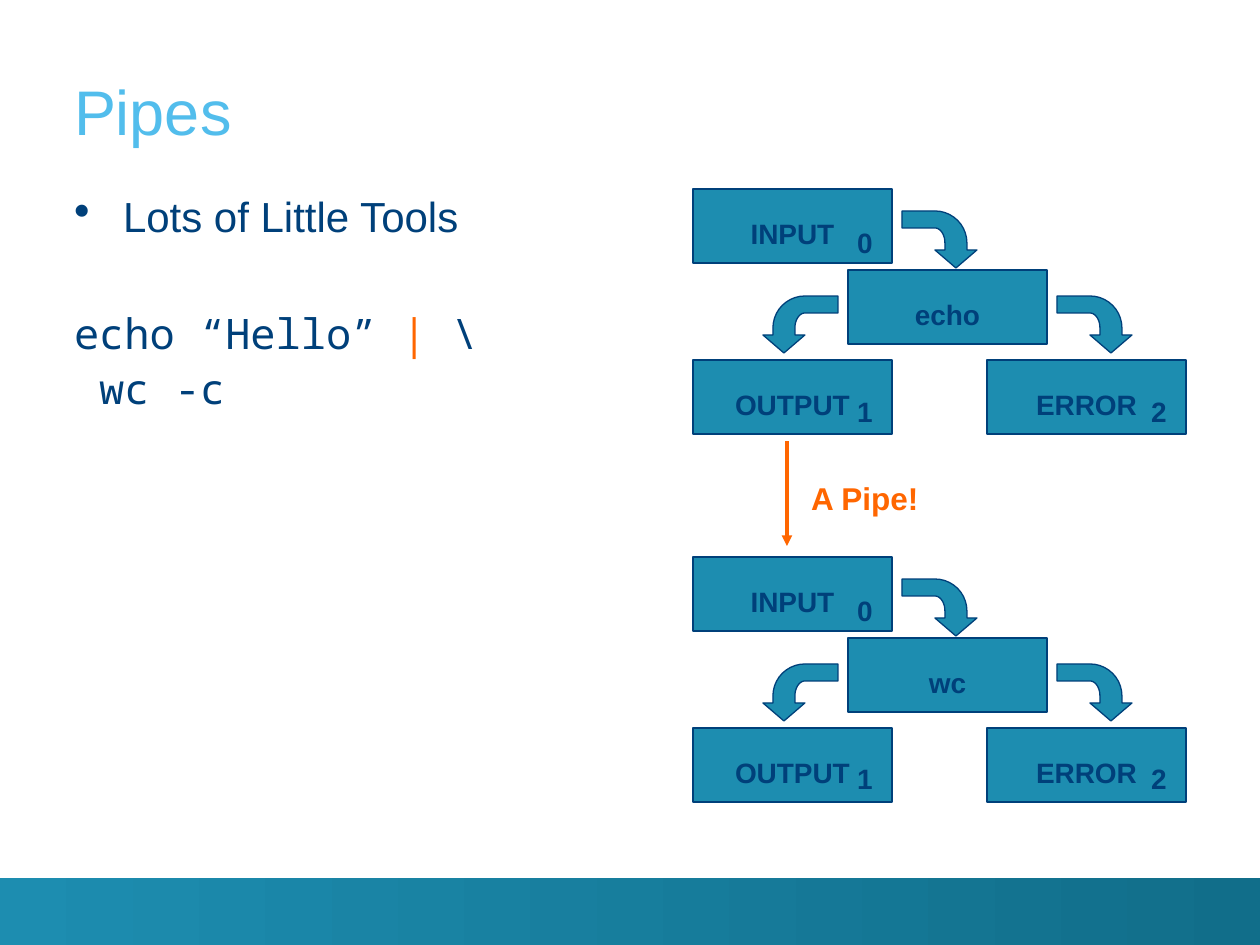
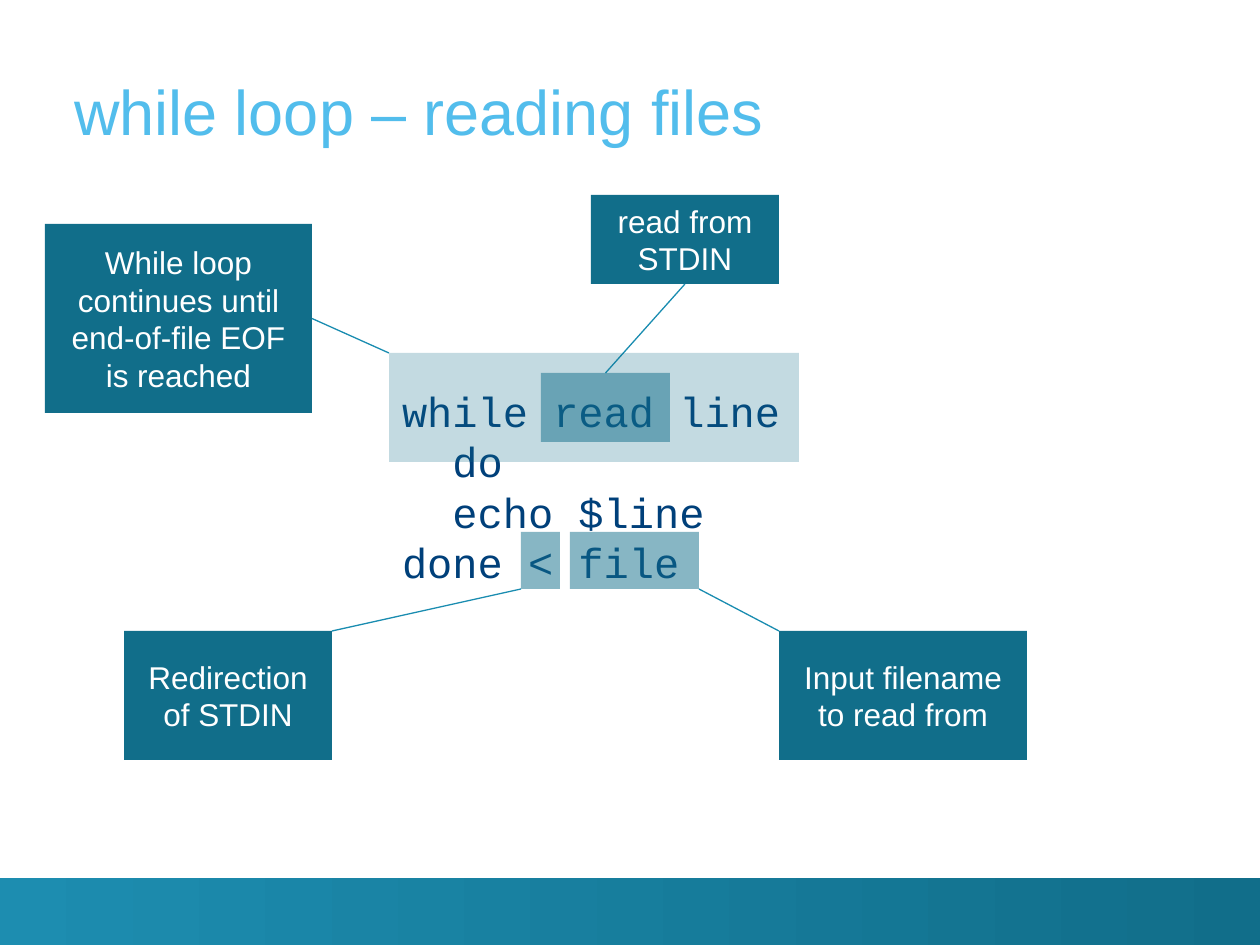
from math import cos, pi, sin

from lxml import etree
from pptx import Presentation
from pptx.dml.color import RGBColor
from pptx.enum.shapes import MSO_CONNECTOR, MSO_SHAPE
from pptx.enum.text import MSO_ANCHOR, PP_ALIGN
from pptx.oxml.ns import qn
from pptx.util import Emu, Pt

NAVY = RGBColor(0x00, 0x40, 0x7A)
SKY = RGBColor(0x52, 0xBD, 0xEC)
TEAL = RGBColor(0x1D, 0x8D, 0xB0)
DEEP = RGBColor(0x11, 0x6E, 0x8A)
LINK = RGBColor(0x19, 0x8C, 0xB0)
ORANGE = RGBColor(0xFF, 0x66, 0x00)
WHITE = RGBColor(0xFF, 0xFF, 0xFF)
SANS, MONO, CODE = "Arial", "Noto Sans Mono", "Courier New"
RECT, STRAIGHT = MSO_SHAPE.RECTANGLE, MSO_CONNECTOR.STRAIGHT
LEFT, CENTER = PP_ALIGN.LEFT, PP_ALIGN.CENTER
TOP, MIDDLE, BOTTOM = MSO_ANCHOR.TOP, MSO_ANCHOR.MIDDLE, MSO_ANCHOR.BOTTOM
SCALE = 914400 / 126
WIDE, HIGH = 1260, 945
BOX_W, BOX_H = 199, 74


def px(size):
    return Emu(round(size * SCALE))


def write(para, text, size=16, color=NAVY, font=SANS, bold=False,
          align=LEFT, before=0, pitch=None):
    para.alignment = align
    para.space_before = Pt(before)
    if pitch:
        para.line_spacing = pitch
    for row, part in enumerate(text.split("\n")):
        if row:
            para.add_line_break()
        run = para.add_run()
        run.text = part
        run.font.size = Pt(size)
        run.font.name = font
        run.font.bold = bold
        run.font.color.rgb = color


def bullet(para, indent):
    props = para._p.get_or_add_pPr()
    props.set("marL", str(px(indent)))
    props.set("indent", str(-px(indent)))
    etree.SubElement(props, qn("a:buSzPct")).set("val", "110000")
    etree.SubElement(props, qn("a:buChar")).set("char", "•")


def arc(mid_x, mid_y, wide, high, start, end, steps=10):
    turns = [start + (end - start) * i / steps for i in range(steps + 1)]
    return [(mid_x + wide * sin(t), mid_y - high * cos(t)) for t in turns]


BEND = ([(0, 0)] + arc(33, 32, 32, 32, 0, pi / 2)
        + [(65, 39), (75, 39), (54, 57), (33, 39), (43, 39)]
        + arc(33, 32, 10, 15, pi / 2, 0) + [(0, 17)])


class Deck:
    def __init__(self):
        self.file = Presentation()
        self.file.slide_width, self.file.slide_height = px(WIDE), px(HIGH)
        self.slide = None

    def start(self, title):
        self.slide = self.file.slides.add_slide(self.file.slide_layouts[5])
        band = self.rect(0, 878, WIDE, HIGH - 878, TEAL)
        band.fill.gradient()
        band.fill.gradient_angle = 0
        for stop, color in zip(band.fill.gradient_stops, (TEAL, DEEP)):
            stop.color.rgb = color
        for stop, place in zip(band.fill.gradient_stops, (0, 1)):
            stop.position = place
        head = self.slide.shapes.title
        head.left, head.top, head.width, head.height = map(px, (74, 25, 1148, 123))
        frame = self.frame(head, 0, 0, BOTTOM)
        write(frame.paragraphs[0], title, size=36, color=SKY)

    def frame(self, shape, side=13, top=6, anchor=TOP):
        frame = shape.text_frame
        frame.word_wrap = True
        frame.vertical_anchor = anchor
        frame.margin_left = frame.margin_right = px(side)
        frame.margin_top = px(top)
        frame.margin_bottom = px(min(top, 6))
        return frame

    def paint(self, shape, fill, line=None, alpha=None):
        shape.shadow.inherit = False
        shape.fill.solid()
        shape.fill.fore_color.rgb = fill
        if alpha:
            tint = shape._element.spPr.find(".//" + qn("a:srgbClr"))
            etree.SubElement(tint, qn("a:alpha")).set("val", str(alpha * 1000))
        if line:
            shape.line.color.rgb = line
            shape.line.width = Pt(0.75)
        else:
            shape.line.fill.background()
        return shape

    def rect(self, x, y, w, h, fill, line=None, alpha=None):
        shape = self.slide.shapes.add_shape(RECT, *map(px, (x, y, w, h)))
        return self.paint(shape, fill, line, alpha)

    def area(self, x, y, w, h, side=13, top=6):
        return self.frame(self.slide.shapes.add_textbox(*map(px, (x, y, w, h))), side, top)

    def label(self, x, y, w, h, text, **style):
        write(self.area(x, y, w, h).paragraphs[0], text, bold=True, **style)

    def node(self, x, y, name, digit=None):
        self.rect(x, y, BOX_W, BOX_H, TEAL, NAVY)
        self.label(x, y + 22, BOX_W, 47, name, align=CENTER)
        if digit:
            drop = 31 if digit == "0" else 28
            self.label(x + 147, y + drop, 50, 47, digit, align=CENTER)

    def bend(self, x, y, way=1):
        dots = [(px(x + way * dx), px(y + dy)) for dx, dy in BEND]
        path = self.slide.shapes.build_freeform(*dots[0], scale=1.0)
        path.add_line_segments(dots[1:], close=True)
        self.paint(path.convert_to_shape(), TEAL, NAVY)

    def line(self, start, end, color=LINK, width=0.75, head=False):
        line = self.slide.shapes.add_connector(STRAIGHT, *map(px, (*start, *end)))
        line.line.color.rgb = color
        line.line.width = Pt(width)
        props = line._element.spPr
        if head:
            etree.SubElement(props.find(qn("a:ln")), qn("a:tailEnd")).set("type", "triangle")
        etree.SubElement(props, qn("a:effectLst"))
        return line

    def note(self, x, y, w, h, text):
        shape = self.rect(x, y, w, h, DEEP)
        frame = self.frame(shape, anchor=MIDDLE)
        write(frame.paragraphs[0], text, size=18, color=WHITE, align=CENTER)
        return shape

    def flow(self, y, tool):
        self.node(693, y, "INPUT", "0")
        self.node(848, y + 81, tool)
        self.node(693, y + 171, "OUTPUT", "1")
        self.node(987, y + 171, "ERROR", "2")
        self.bend(902, y + 22)
        self.bend(1057, y + 107)
        self.bend(838, y + 107, way=-1)


def pipes(deck):
    deck.start("Pipes")
    body = deck.area(74, 186, 600, 610, side=0, top=10)
    para = body.paragraphs[0]
    bullet(para, 49)
    write(para, "Lots of Little Tools", size=24, pitch=0.9)
    style = dict(size=24, font=MONO, pitch=0.9)
    para = body.add_paragraph()
    for text, color in (("echo “Hello” ", NAVY), ("|", ORANGE), (" \\", NAVY)):
        write(para, text, color=color, before=41, **style)
    write(body.add_paragraph(), " wc -c", before=5.8, **style)
    deck.flow(189, "echo")
    deck.flow(557, "wc")
    deck.line((787, 441), (787, 546), ORANGE, 2, head=True)
    deck.label(798, 473, 357, 50, "A Pipe!", size=18, color=ORANGE)


def loop(deck):
    deck.start("while loop – reading files")
    code = deck.area(389, 373, 522, 217, top=13)
    rows = ("while read line\n  do", "  echo $line", "done < file")
    for i, row in enumerate(rows):
        para = code.add_paragraph() if i else code.paragraphs[0]
        write(para, row, size=24, font=CODE, pitch=Pt(28.7))

    deck.rect(521, 532, 39, 57, DEEP, alpha=50)
    deck.note(124, 631, 208, 129, "Redirection of STDIN")
    deck.line((332, 631), (521, 589))

    deck.rect(570, 532, 129, 57, DEEP, alpha=50)
    deck.note(779, 631, 248, 129, "Input filename to read from")
    deck.line((699, 589), (779, 631))

    note = deck.note(591, 195, 188, 89, "read from STDIN")
    word = deck.rect(541, 373, 129, 69, DEEP, alpha=50)
    line = deck.line((685, 284), (605, 373))
    line.begin_connect(note, 2)
    line.end_connect(word, 0)

    deck.rect(389, 353, 410, 109, DEEP, alpha=25)
    note = deck.note(45, 224, 267, 189, "While loop continues until end-of-file EOF is reached")
    deck.line((312, 318), (389, 353)).begin_connect(note, 3)


def main():
    deck = Deck()
    pipes(deck)
    loop(deck)
    deck.file.save("out.pptx")


if __name__ == "__main__":
    main()
